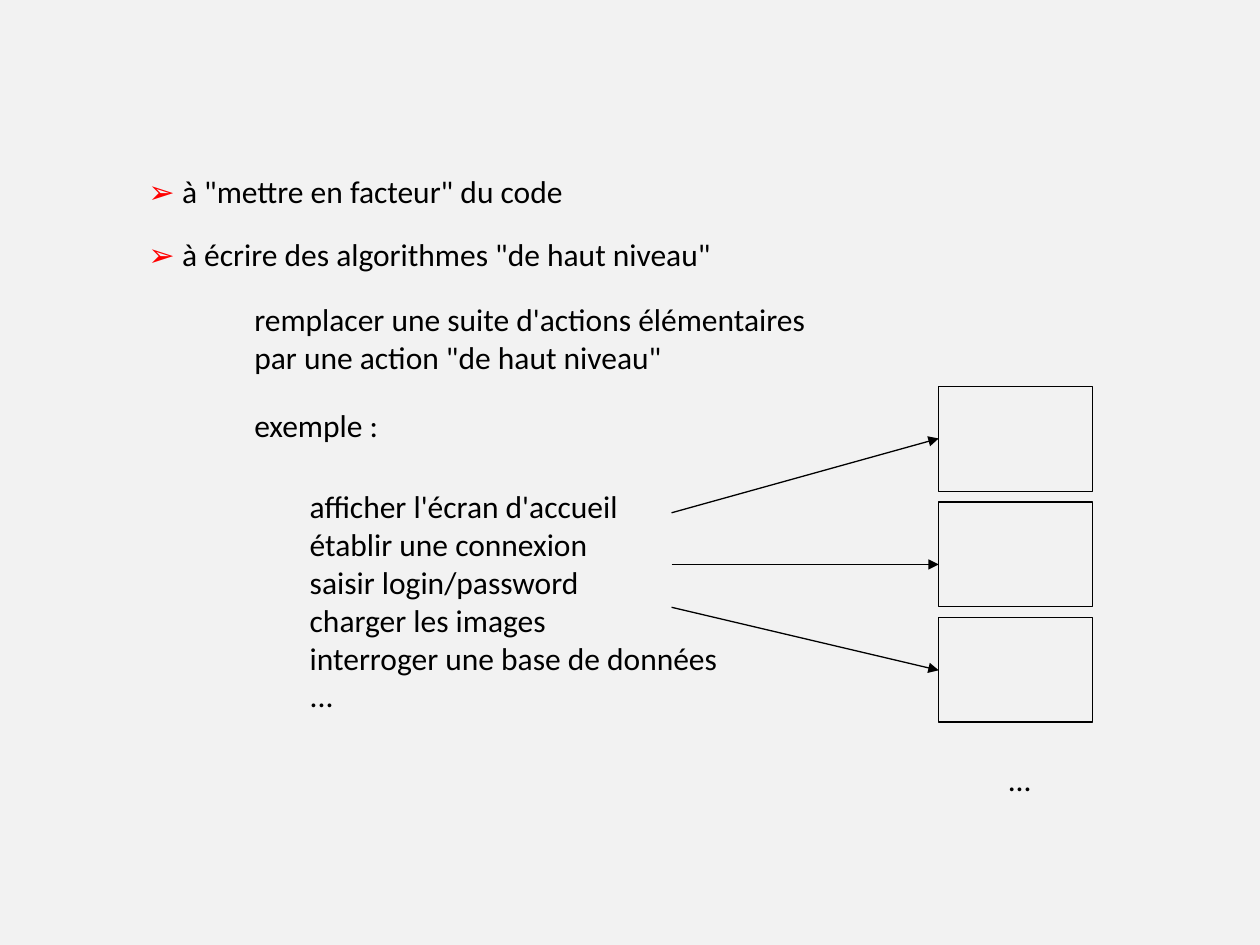
from pptx import Presentation
from pptx.dml.color import RGBColor
from pptx.enum.shapes import MSO_CONNECTOR as Connector, MSO_SHAPE as Shape
from pptx.oxml.ns import qn
from pptx.util import Inches, Pt
from lxml.etree import SubElement

COLORS = {"background": "F2F2F2", "ink": "000000", "bullet": "FF0000"}
FONT, SIZE = "Calibri", 18
BULLET = "➢ "

# Text blocks: left, top, width, height, bulleted, lines
TEXTS = [
    (1.08, 1.32, 3.73, 0.43, True, ['à "mettre en facteur" du code']),
    (1.08, 1.82, 5.04, 0.43, True, ['à écrire des algorithmes "de haut niveau"']),
    (1.92, 2.33, 4.95, 0.77, False, [
        "remplacer une suite d'actions élémentaires",
        'par une action "de haut niveau"',
    ]),
    (1.92, 3.17, 1.36, 0.43, False, ["exemple :"]),
    (2.36, 3.82, 3.64, 2.1, False, [
        "afficher l'écran d'accueil",
        "établir une connexion",
        "saisir login/password",
        "charger les images",
        "interroger une base de données",
        "...",
    ]),
    (7.9, 5.98, 0.41, 0.43, False, ["..."]),
]

# Column of boxes, and the start and end height of the arrow to each
BOX_LEFT, BOX_TOP, BOX_WIDTH, BOX_HEIGHT, BOX_STEP = 7.45, 3.07, 1.22, 0.83, 0.915
ARROW_LEFT = 5.33
ARROWS = [(4.07, 3.48), (4.48, 4.48), (4.82, 5.32)]


def color(name):
    return RGBColor.from_string(COLORS[name])


def add_span(para, text, color_name):
    span = para.add_run()
    span.text = text
    span.font.name = FONT
    span.font.size = Pt(SIZE)
    span.font.color.rgb = color(color_name)


def add_text(page, left, top, width, height, bulleted, lines):
    box = page.shapes.add_textbox(*map(Inches, (left, top, width, height)))
    frame = box.text_frame
    frame.word_wrap = True
    for index, line in enumerate(lines):
        para = frame.add_paragraph() if index else frame.paragraphs[0]
        if bulleted:
            add_span(para, BULLET, "bullet")
        add_span(para, line, "ink")


def style_line(shape):
    shape.line.color.rgb = color("ink")
    shape.line.width = Pt(0.75)


def add_box(page, top):
    box = page.shapes.add_shape(
        Shape.RECTANGLE, *map(Inches, (BOX_LEFT, top, BOX_WIDTH, BOX_HEIGHT)))
    box.shadow.inherit = False
    box.fill.background()
    style_line(box)


def add_arrow(page, start, end):
    arrow = page.shapes.add_connector(
        Connector.STRAIGHT, *map(Inches, (ARROW_LEFT, start, BOX_LEFT, end)))
    style_line(arrow)
    SubElement(arrow.line._get_or_add_ln(), qn("a:tailEnd"), type="triangle")
    SubElement(arrow._element.spPr, qn("a:effectLst"))


deck = Presentation()
deck.slide_width, deck.slide_height = Inches(10), Inches(7.5)
page = deck.slides.add_slide(deck.slide_layouts[6])
page.background.fill.solid()
page.background.fill.fore_color.rgb = color("background")

# Wording
for text in TEXTS:
    add_text(page, *text)

# Boxes and the arrows that lead to them
for index, (start, end) in enumerate(ARROWS):
    add_box(page, BOX_TOP + index * BOX_STEP)
    add_arrow(page, start, end)

deck.save("out.pptx")
